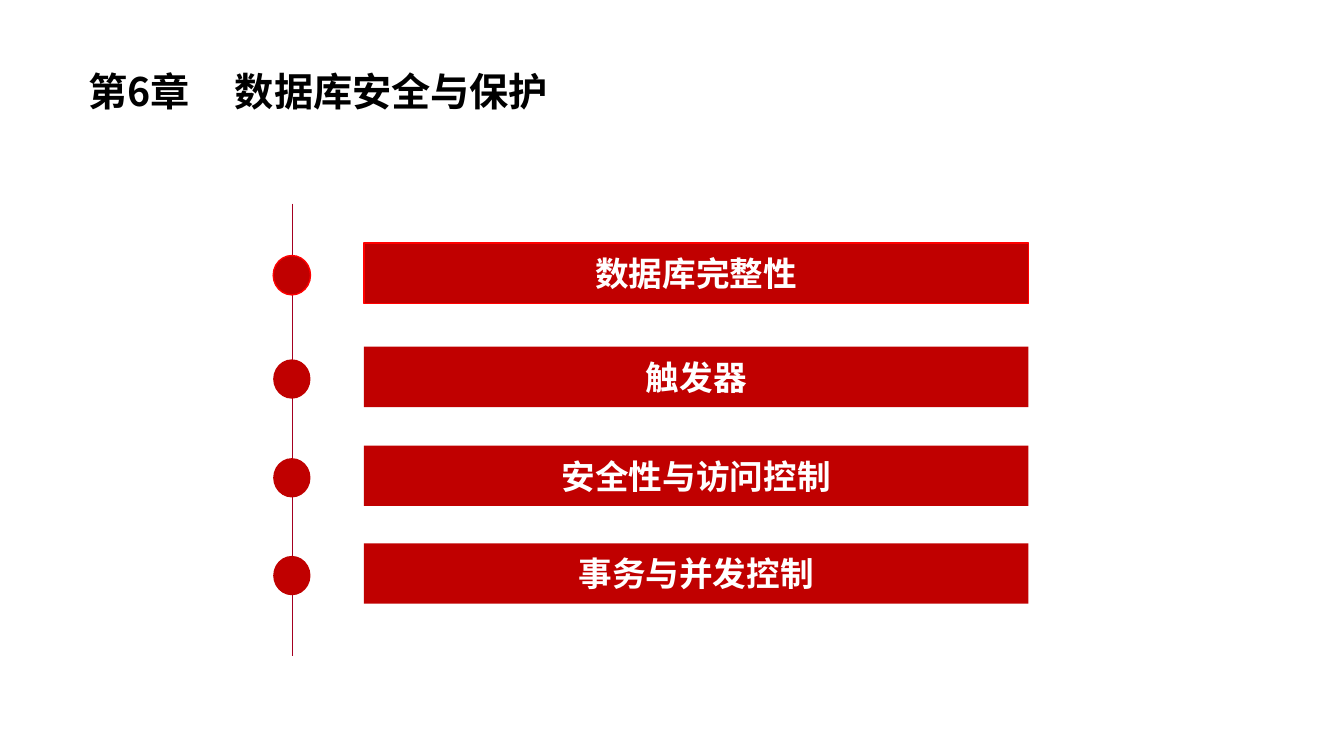
import pptx
import pptx.util
import pptx.dml.color
import pptx.enum.shapes
import pptx.enum.text
import pptx.oxml.ns
from lxml import etree

Inches, Pt = pptx.util.Inches, pptx.util.Pt
SHAPE = pptx.enum.shapes.MSO_SHAPE
ALIGN = pptx.enum.text.PP_ALIGN
qn = pptx.oxml.ns.qn

FONT = "Noto Sans CJK SC"
COLORS = {"red": "C00000", "outline": "FF0000", "axis": "A50021",
          "white": "FFFFFF", "black": "000000"}


def rgb(name):
    return pptx.dml.color.RGBColor.from_string(COLORS[name])


def write(shape, text, size, color, align):
    frame = shape.text_frame
    frame.word_wrap = True
    frame.vertical_anchor = pptx.enum.text.MSO_ANCHOR.MIDDLE
    paragraph = frame.paragraphs[0]
    paragraph.text = text
    paragraph.alignment = align
    for run in paragraph.runs:
        run.font.name = FONT
        run.font.size = Pt(size)
        run.font.bold = True
        run.font.color.rgb = rgb(color)
        etree.SubElement(run._r.get_or_add_rPr(), qn("a:ea"), typeface=FONT)
    return paragraph


deck = pptx.Presentation()
deck.slide_width, deck.slide_height = Inches(13.33), Inches(7.5)
slide = deck.slides.add_slide(deck.slide_layouts[6])

# Timeline axis
axis = slide.shapes.add_connector(
    pptx.enum.shapes.MSO_CONNECTOR.STRAIGHT,
    Inches(2.9), Inches(2.02), Inches(2.9), Inches(6.51))
axis.line.color.rgb = rgb("axis")
axis.line.width = Pt(0.5)
etree.SubElement(axis._element.spPr, qn("a:effectLst"))

# Chapter title, with a tab stop between number and name
title = slide.shapes.add_shape(
    SHAPE.ROUNDED_RECTANGLE, Inches(0.74), Inches(0.48), Inches(7.9), Inches(0.85))
title.shadow.inherit = False
title.fill.background()
title.line.fill.background()
heading = write(title, "第6章\t数据库安全与保护", 28, "black", ALIGN.JUSTIFY)
tab_stops = etree.SubElement(heading._p.get_or_add_pPr(), qn("a:tabLst"))
etree.SubElement(tab_stops, qn("a:tab"), pos=str(Inches(1.45)), algn="l")

# Sections: a marker on the axis and a bar, the first one outlined
sections = [("数据库完整性", 2.41), ("触发器", 3.44),
            ("安全性与访问控制", 4.42), ("事务与并发控制", 5.39)]
for index, (name, top) in enumerate(sections):
    section = slide.shapes.add_group_shape()
    marker = section.shapes.add_shape(
        SHAPE.OVAL, Inches(2.71), Inches(top + 0.125), Inches(0.37), Inches(0.39))
    bar = section.shapes.add_shape(
        SHAPE.RECTANGLE, Inches(3.61), Inches(top), Inches(6.59), Inches(0.6))
    for part in (marker, bar):
        part.shadow.inherit = False
        part.fill.solid()
        part.fill.fore_color.rgb = rgb("red")
        if index == 0:
            part.line.color.rgb = rgb("outline")
            part.line.width = Pt(1)
        else:
            part.line.fill.background()
    label = write(bar, name, 24, "white", ALIGN.CENTER)
    label.space_before = Pt(10)

deck.save("out.pptx")
